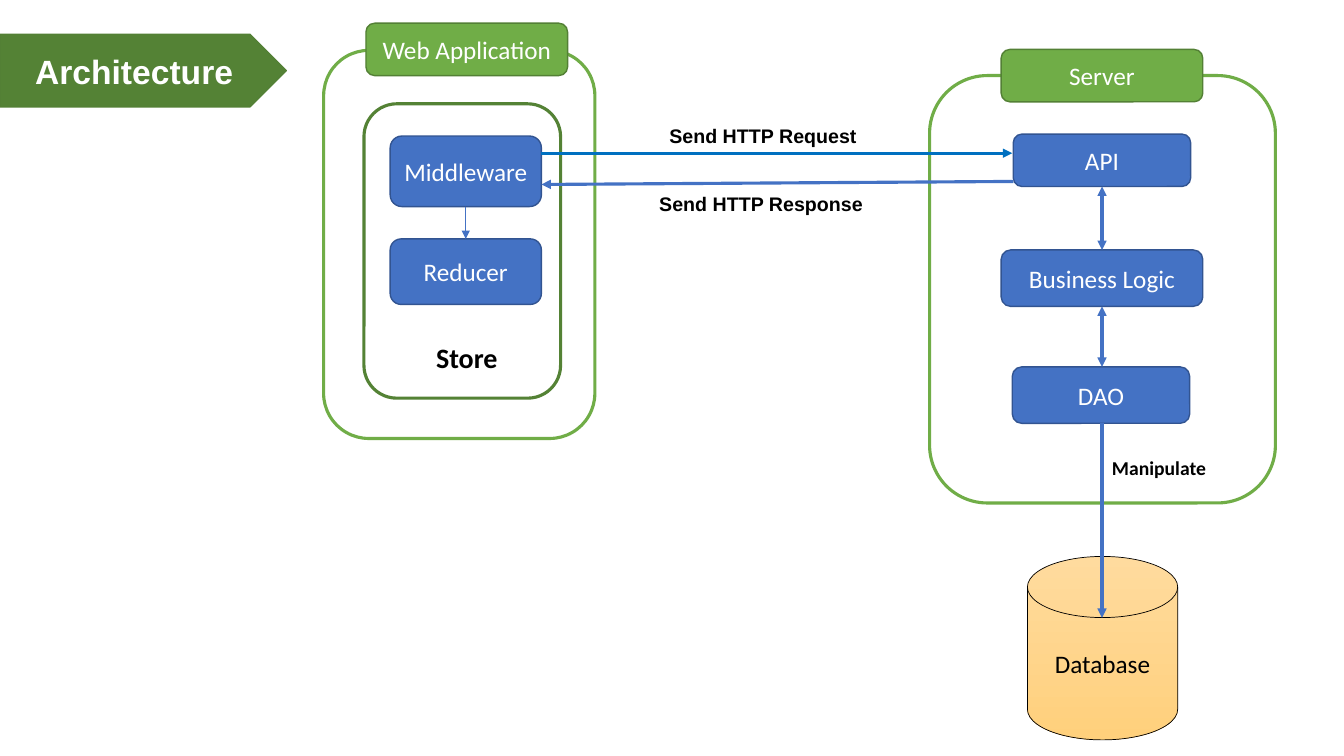
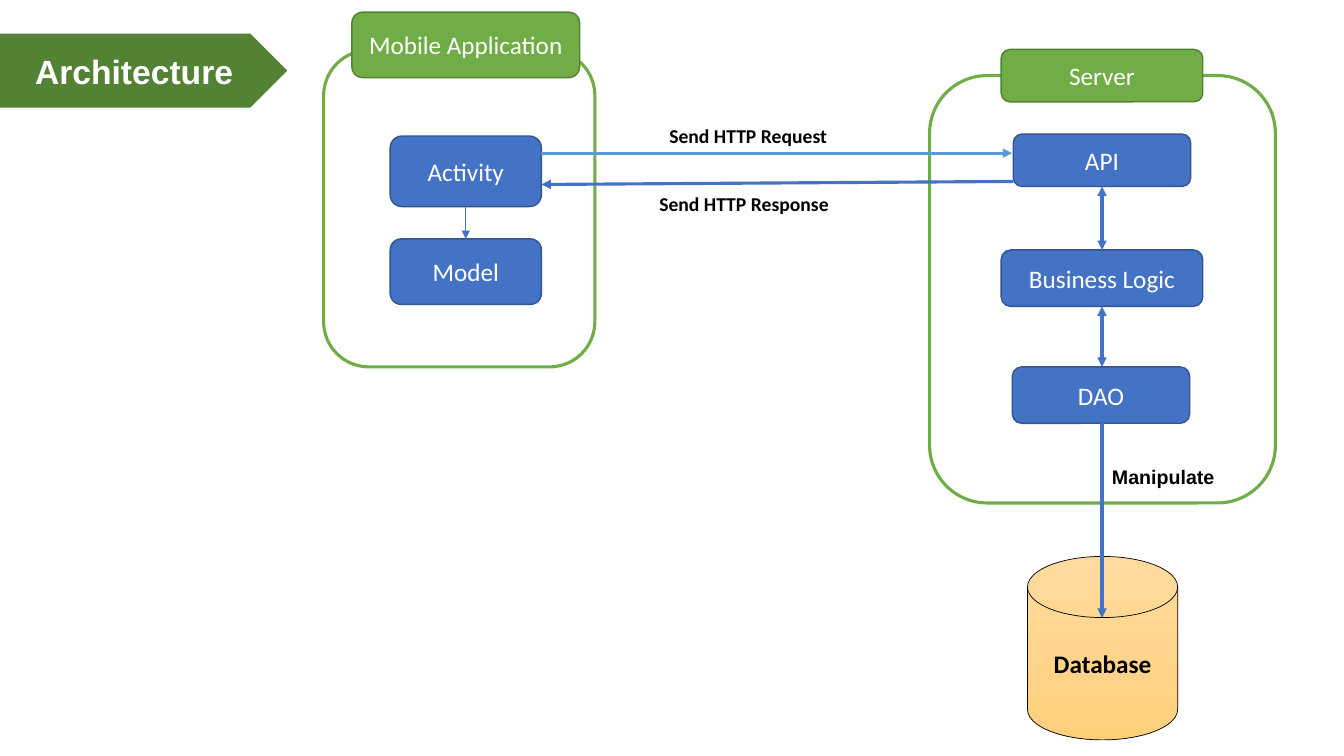
from dataclasses import dataclass
from typing import Optional

from lxml import etree
from pptx import Presentation
from pptx.dml.color import RGBColor
from pptx.enum import shapes, text
from pptx.oxml.ns import qn
from pptx.util import Inches, Pt

WHITE, BLACK = "FFFFFF", "000000"
GREEN, DARK_GREEN, GREEN_EDGE = "70AD47", "548235", "538035"
BLUE, BLUE_EDGE = "4472C4", "325491"
SHAPE = shapes.MSO_SHAPE
ALIGN = text.PP_ALIGN
SERVER_AXIS = 10.93


@dataclass(frozen=True)
class Box:
    x: float
    y: float
    w: float
    h: float


@dataclass(frozen=True)
class Style:
    fill: str
    line: str
    width: float = 1


@dataclass(frozen=True)
class Node:
    caption: str
    box: Box
    style: Style


@dataclass(frozen=True)
class Arrow:
    start: tuple[float, float]
    end: tuple[float, float]
    color: str = BLUE
    width: float = 2.25
    both: bool = False


@dataclass(frozen=True)
class Label:
    caption: str
    box: Box
    font: str
    size: int = 14
    align: Optional[ALIGN] = None


@dataclass(frozen=True)
class Architecture:
    client: Node
    frame: Box
    store: Optional[Box]
    layers: tuple[str, str]
    request_color: str
    labels: list[Label]
    bold_database: bool


TITLE = Style(DARK_GREEN, GREEN_EDGE)
HEADER = Style(GREEN, GREEN_EDGE)
LAYER = Style(BLUE, BLUE_EDGE)
FRAME = Style(WHITE, GREEN, 2.25)
STORE = Style(WHITE, DARK_GREEN, 2.25)
DISK = Style("FFDB9E", BLACK, 0.5)

TITLE_BOX = Box(0, 0.34, 2.84, 0.72)
SERVER_FRAME = Box(9.22, 0.75, 3.43, 4.24)
DATABASE_BOX = Box(10.19, 5.52, 1.49, 1.82)
CLIENT_BOXES = (Box(3.87, 1.35, 1.5, 0.7), Box(3.87, 2.37, 1.5, 0.65))

SERVER_NODES = [
    Node("API", Box(10.05, 1.33, 1.76, 0.52), LAYER),
    Node("Business Logic", Box(9.93, 2.48, 2, 0.56), LAYER),
    Node("DAO", Box(10.04, 3.64, 1.76, 0.56), LAYER),
    Node("Server", Box(9.93, 0.49, 2, 0.52), HEADER),
]

SHARED_ARROWS = [
    Arrow((10.05, 1.8), (5.37, 1.83)),
    Arrow((SERVER_AXIS, 1.85), (SERVER_AXIS, 2.48), both=True),
    Arrow((SERVER_AXIS, 3.04), (SERVER_AXIS, 3.64), both=True),
    Arrow((SERVER_AXIS, 4.2), (SERVER_AXIS, 6.13)),
    Arrow((4.62, 2.05), (4.62, 2.37), width=0.5),
]

ARCHITECTURES = [
    Architecture(
        client=Node("Web Application", Box(3.63, 0.23, 2, 0.52), HEADER),
        frame=Box(3.21, 0.5, 2.69, 3.85),
        store=Box(3.61, 1.03, 1.95, 2.92),
        layers=("Middleware", "Reducer"),
        request_color="0070C0",
        labels=[
            Label("Send HTTP Request", Box(6.54, 1.18, 2.54, 0.34), "Arial"),
            Label("Send HTTP Response", Box(6.44, 1.85, 2.73, 0.34), "Arial"),
            Label("Manipulate", Box(10.93, 4.47, 1.25, 0.34), "Calibri"),
            Label("Store", Box(4.07, 3.33, 1.12, 0.44), "Calibri", 20, ALIGN.CENTER),
        ],
        bold_database=False,
    ),
    Architecture(
        client=Node("Mobile Application", Box(3.49, 0.12, 2.26, 0.65), HEADER),
        frame=Box(3.21, 0.5, 2.69, 3.14),
        store=None,
        layers=("Activity", "Model"),
        request_color="5B9BD5",
        labels=[
            Label("Send HTTP Request", Box(6.54, 1.18, 2.43, 0.34), "Calibri"),
            Label("Send HTTP Response", Box(6.44, 1.85, 2.61, 0.34), "Calibri"),
            Label("Manipulate", Box(10.93, 4.56, 2.18, 0.34), "Arial"),
        ],
        bold_database=True,
    ),
]


def rgb(color: str) -> RGBColor:
    return RGBColor.from_string(color)


def place(box: Box) -> tuple:
    return Inches(box.x), Inches(box.y), Inches(box.w), Inches(box.h)


def write(sp, caption: str, color: str, size: int = 18, font: str = "Calibri",
          bold: bool = False, align: Optional[ALIGN] = ALIGN.CENTER) -> None:
    tf = sp.text_frame
    tf.text = caption
    tf.word_wrap = True
    p = tf.paragraphs[0]
    p.alignment = align
    r = p.runs[0]
    r.font.name = font
    r.font.size = Pt(size)
    r.font.bold = bold
    r.font.color.rgb = rgb(color)


def add_shape(slide, kind: SHAPE, box: Box, style: Style):
    sp = slide.shapes.add_shape(kind, *place(box))
    sp.shadow.inherit = False
    sp.fill.solid()
    sp.fill.fore_color.rgb = rgb(style.fill)
    sp.line.color.rgb = rgb(style.line)
    sp.line.width = Pt(style.width)
    return sp


def add_node(slide, node: Node) -> None:
    sp = add_shape(slide, SHAPE.ROUNDED_RECTANGLE, node.box, node.style)
    write(sp, node.caption, WHITE)


def add_frame(slide, box: Box, style: Style) -> None:
    add_shape(slide, SHAPE.ROUNDED_RECTANGLE, box, style)


def add_database(slide, bold: bool) -> None:
    sp = add_shape(slide, SHAPE.FLOWCHART_MAGNETIC_DISK, DATABASE_BOX, DISK)
    sp.fill.gradient()
    sp.fill.gradient_angle = 270
    for stop, color in zip(sp.fill.gradient_stops, (DISK.fill, "FFD07C")):
        stop.color.rgb = rgb(color)
    write(sp, "Database", BLACK, bold=bold)


def add_arrow(slide, arrow: Arrow) -> None:
    ends = [Inches(v) for v in (*arrow.start, *arrow.end)]
    connector = slide.shapes.add_connector(shapes.MSO_CONNECTOR.STRAIGHT, *ends)
    connector.line.color.rgb = rgb(arrow.color)
    connector.line.width = Pt(arrow.width)
    properties = connector._element.spPr
    ln = properties.find(qn("a:ln"))
    for tag in ("a:headEnd", "a:tailEnd") if arrow.both else ("a:tailEnd",):
        etree.SubElement(ln, qn(tag), type="triangle")
    etree.SubElement(properties, qn("a:effectLst"))


def add_label(slide, label: Label) -> None:
    sp = slide.shapes.add_textbox(*place(label.box))
    write(sp, label.caption, BLACK, label.size, label.font, True, label.align)
    sp.text_frame.auto_size = text.MSO_AUTO_SIZE.SHAPE_TO_FIT_TEXT


def add_title(slide, caption: str) -> None:
    banner = add_shape(slide, SHAPE.PENTAGON, TITLE_BOX, TITLE)
    title = slide.shapes.title
    title._element.addprevious(banner._element)
    point = TITLE_BOX.h / 4
    title.left, title.top, title.width, title.height = place(
        Box(TITLE_BOX.x, TITLE_BOX.y, TITLE_BOX.w - point, TITLE_BOX.h))
    write(title, caption, WHITE, 24, "Arial", True)
    title.text_frame.vertical_anchor = text.MSO_ANCHOR.MIDDLE


def add_architecture(prs, design: Architecture) -> None:
    slide = prs.slides.add_slide(prs.slide_layouts[5])
    add_title(slide, "Architecture")
    add_frame(slide, SERVER_FRAME, FRAME)
    add_frame(slide, design.frame, FRAME)
    if design.store:
        add_frame(slide, design.store, STORE)
    client_nodes = [Node(name, box, LAYER)
                    for name, box in zip(design.layers, CLIENT_BOXES)]
    for node in [*SERVER_NODES, design.client, *client_nodes]:
        add_node(slide, node)
    add_database(slide, design.bold_database)
    request = Arrow((5.37, 1.52), (10.04, 1.52), design.request_color)
    for arrow in [request, *SHARED_ARROWS]:
        add_arrow(slide, arrow)
    for label in design.labels:
        add_label(slide, label)


def main() -> None:
    prs = Presentation()
    prs.slide_width, prs.slide_height = Inches(13.33), Inches(7.5)
    for design in ARCHITECTURES:
        add_architecture(prs, design)
    prs.save("out.pptx")


if __name__ == "__main__":
    main()
